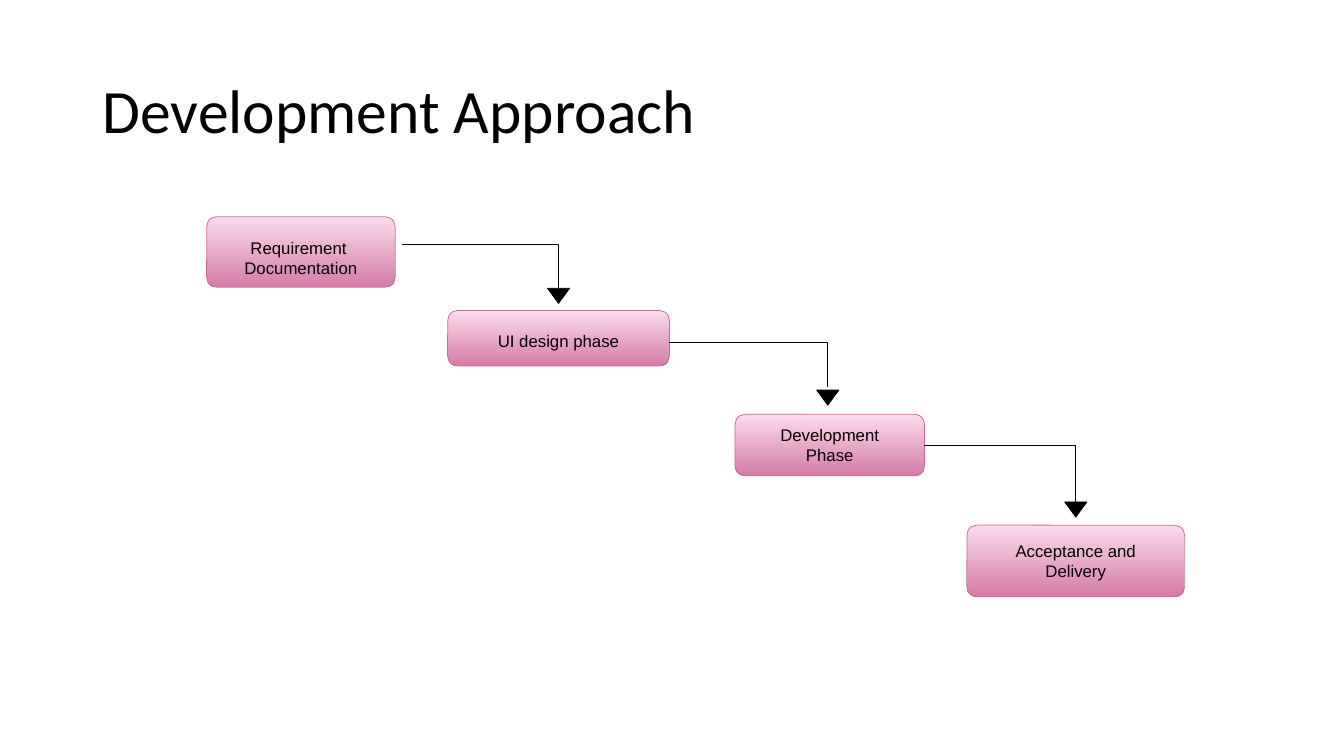
from dataclasses import dataclass

from pptx import Presentation
from pptx import util as u
from pptx.dml.color import RGBColor
from pptx.enum import shapes, text


@dataclass(frozen=True)
class Theme:
    ink: RGBColor = RGBColor.from_string("000000")
    box_top: RGBColor = RGBColor.from_string("FADCEC")
    box_bottom: RGBColor = RGBColor.from_string("D57BA8")
    box_edge: RGBColor = RGBColor.from_string("CC6699")
    title_font: str = "Calibri"
    label_font: str = "Arial"
    title_size: float = 44
    label_size: float = 12
    line_width: float = 0.54
    corner: float = 0.1
    head_width: float = 0.22
    head_height: float = 0.15


class WaterfallSlide:
    def __init__(self, slide, theme):
        self.slide = slide
        self.theme = theme

    def style_text(self, paragraph, font_name, size):
        paragraph.font.name = font_name
        paragraph.font.size = u.Pt(size)
        paragraph.font.color.rgb = self.theme.ink

    def style_line(self, shape, color):
        shape.shadow.inherit = False
        shape.line.color.rgb = color
        shape.line.width = u.Pt(self.theme.line_width)

    def title(self, wording, left, top, width, height):
        box = self.slide.shapes.add_textbox(*map(u.Inches, (left, top, width, height)))
        frame = box.text_frame
        frame.word_wrap = True
        frame.vertical_anchor = text.MSO_ANCHOR.MIDDLE
        paragraph = frame.paragraphs[0]
        paragraph.text = wording
        paragraph.line_spacing = 0.9
        self.style_text(paragraph, self.theme.title_font, self.theme.title_size)

    def phase(self, lines, left, top, width, height, text_drop):
        """Draw a phase box; text_drop moves its label below the middle."""
        box = self.slide.shapes.add_shape(
            shapes.MSO_SHAPE.ROUNDED_RECTANGLE,
            *map(u.Inches, (left, top, width, height)))
        box.adjustments[0] = self.theme.corner / height
        box.fill.gradient()
        box.fill.gradient_angle = 270
        colors = (self.theme.box_top, self.theme.box_bottom)
        for stop, color in zip(box.fill.gradient_stops, colors):
            stop.color.rgb = color
        self.style_line(box, self.theme.box_edge)

        frame = box.text_frame
        frame.word_wrap = True
        frame.vertical_anchor = text.MSO_ANCHOR.MIDDLE
        frame.margin_left = frame.margin_right = u.Inches(0.09 * width)
        frame.margin_top = u.Inches(2 * text_drop)
        frame.margin_bottom = 0
        frame.text = "\n".join(lines)
        for paragraph in frame.paragraphs:
            paragraph.alignment = text.PP_ALIGN.CENTER
            self.style_text(paragraph, self.theme.label_font, self.theme.label_size)

    def elbow(self, left, top, right, bottom):
        x1, y1, x2, y2 = map(u.Inches, (left, top, right, bottom))
        builder = self.slide.shapes.build_freeform(x1, y1)
        builder.add_line_segments([(x2, y1), (x2, y2)], close=False)
        line = builder.convert_to_shape()
        line.fill.background()
        self.style_line(line, self.theme.ink)

    def arrowhead(self, center, top):
        width, height = self.theme.head_width, self.theme.head_height
        head = self.slide.shapes.add_shape(
            shapes.MSO_SHAPE.FLOWCHART_MERGE,
            *map(u.Inches, (center - width / 2, top, width, height)))
        head.fill.solid()
        head.fill.fore_color.rgb = self.theme.ink
        self.style_line(head, self.theme.ink)


# Label lines, left, top, width, height, label drop
PHASES = [
    (["Requirement ", "Documentation"], 2.05, 2.15, 1.87, 0.7, 0.06),
    (["UI design phase"], 4.44, 3.08, 2.2, 0.55, 0.03),
    (["Development Phase"], 7.29, 4.11, 1.88, 0.61, 0),
    (["Acceptance and Delivery"], 9.59, 5.21, 2.16, 0.71, 0),
]
# Elbow left, top, right, bottom, then arrowhead top
STEPS = [
    (3.99, 2.42, 5.54, 2.86, 2.86),
    (6.64, 3.4, 8.21, 3.84, 3.87),
    (9.16, 4.42, 10.67, 4.98, 4.98),
]


def main():
    presentation = Presentation()
    presentation.slide_width = u.Inches(13.33)
    presentation.slide_height = u.Inches(7.5)
    slide = presentation.slides.add_slide(presentation.slide_layouts[6])
    waterfall = WaterfallSlide(slide, Theme())

    waterfall.title("Development Approach", 0.92, 0.4, 11.5, 1.45)
    for phase in PHASES:
        waterfall.phase(*phase)
    for left, top, right, bottom, head_top in STEPS:
        waterfall.elbow(left, top, right, bottom)
        waterfall.arrowhead(right, head_top)

    presentation.save("out.pptx")


if __name__ == "__main__":
    main()
